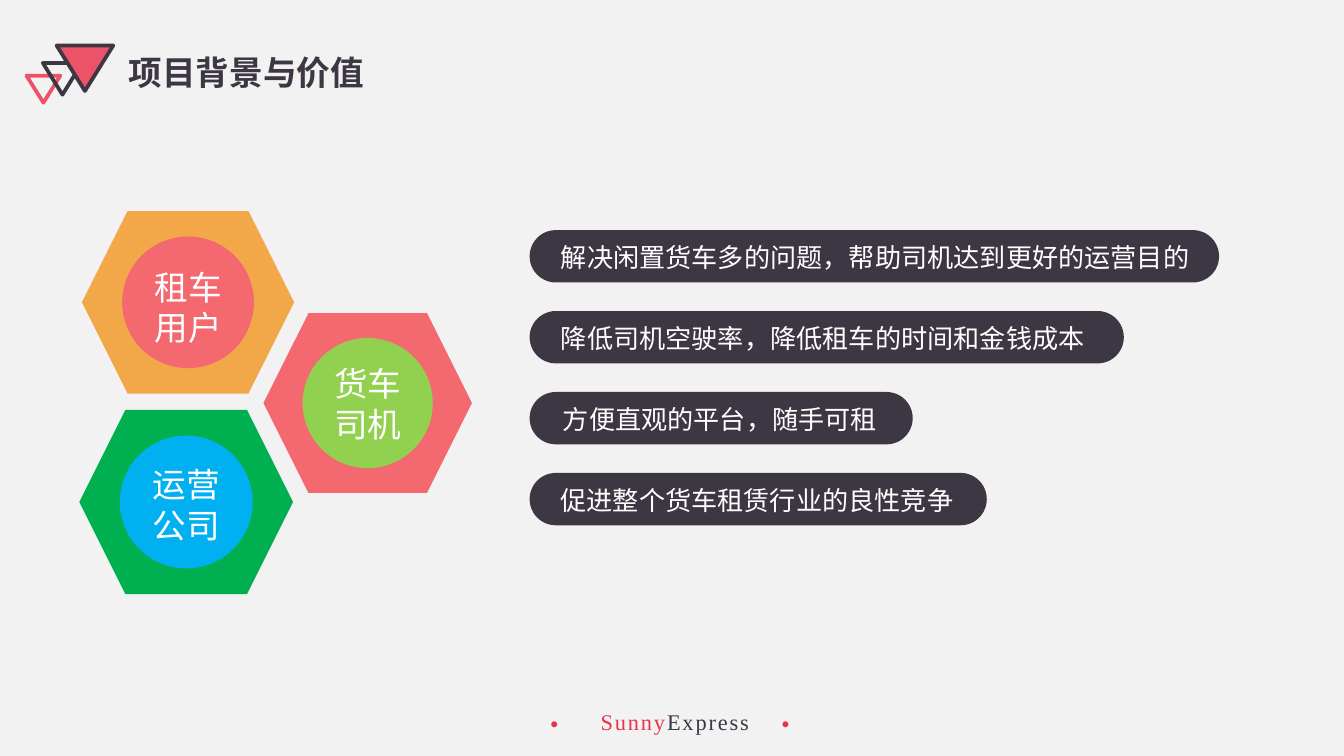
"""Build the project background and value slide."""
from lxml.etree import SubElement
from pptx import Presentation
from pptx.dml.color import RGBColor
from pptx.enum.shapes import MSO_SHAPE
from pptx.enum.text import MSO_ANCHOR, MSO_AUTO_SIZE, PP_ALIGN
from pptx.oxml.ns import qn
from pptx.util import Cm, Pt

DARK = RGBColor(0x3D, 0x37, 0x43)
RED = RGBColor(0xE9, 0x33, 0x4C)
ROSE = RGBColor(0xEC, 0x53, 0x68)
CORAL = RGBColor(0xF4, 0x69, 0x70)
ORANGE = RGBColor(0xF2, 0xA8, 0x49)
GREEN = RGBColor(0x00, 0xB0, 0x50)
LIME = RGBColor(0x92, 0xD0, 0x50)
BLUE = RGBColor(0x00, 0xB0, 0xF0)
WHITE = RGBColor(0xFF, 0xFF, 0xFF)
BACKGROUND = RGBColor(0xF2, 0xF2, 0xF2)
CJK = "Noto Sans CJK SC"


def write(box, text, size=18, color=WHITE, font=CJK, bold=False, align=PP_ALIGN.CENTER, spacing=0):
    frame = box.text_frame
    frame.word_wrap = False
    frame.auto_size = MSO_AUTO_SIZE.NONE
    frame.vertical_anchor = MSO_ANCHOR.MIDDLE
    for index, line in enumerate(text.split("\n")):
        para = frame.add_paragraph() if index else frame.paragraphs[-1]
        para.alignment = align
        span = para.add_run()
        span.text = line
        span.font.size = Pt(size)
        span.font.bold = bold
        span.font.color.rgb = color
        span.font.name = font
        properties = span.font._element
        SubElement(properties, qn("a:ea")).set("typeface", font)
        if spacing:
            properties.set("spc", str(spacing * 100))


def draw(kind, left, top, width, height, fill=None, line=None):
    shape = page.shapes.add_shape(kind, Cm(left), Cm(top), Cm(width), Cm(height))
    shape.shadow.inherit = False
    if fill is None:
        shape.fill.background()
    else:
        shape.fill.solid()
        shape.fill.fore_color.rgb = fill
    if line is None:
        shape.line.fill.background()
    else:
        shape.line.color.rgb = line
        shape.line.width = Pt(2)
    return shape


deck = Presentation()
deck.slide_width, deck.slide_height = Cm(25.4), Cm(14.29)
page = deck.slides.add_slide(deck.slide_layouts[5])
page.background.fill.solid()
page.background.fill.fore_color.rgb = BACKGROUND

title = page.shapes.title
title.left, title.top, title.width, title.height = Cm(2.18), Cm(0.86), Cm(5.03), Cm(1.02)
write(title, "项目背景与价值", color=DARK, bold=True, align=PP_ALIGN.LEFT)

for left, top, width, height, fill, line in [
    (0.5, 1.43, 0.64, 0.51, None, ROSE),
    (0.81, 1.19, 0.74, 0.6, None, DARK),
    (1.07, 0.86, 1.07, 0.86, ROSE, DARK),
]:
    triangle = draw(MSO_SHAPE.ISOSCELES_TRIANGLE, left, top, width, height, fill, line)
    triangle.rotation = 180

for role, left, top, width, height, diameter, label_top, outer, inner in [
    ("租车\n用户", 1.55, 3.99, 4.01, 3.45, 2.49, 4.9, ORANGE, CORAL),
    ("运营\n公司", 1.5, 7.75, 4.04, 3.48, 2.51, 8.64, GREEN, BLUE),
    ("货车\n司机", 4.98, 5.92, 3.94, 3.4, 2.46, 6.73, CORAL, LIME),
]:
    hexagon = draw(MSO_SHAPE.HEXAGON, left, top, width, height, outer)
    hexagon.adjustments[0] = 0.25
    middle = left + width / 2
    draw(MSO_SHAPE.OVAL, middle - diameter / 2, top + (height - diameter) / 2, diameter, diameter, inner)
    label = page.shapes.add_textbox(Cm(middle - 0.9), Cm(label_top), Cm(1.8), Cm(1.8))
    write(label, role)

for row, (benefit, width, text_width) in enumerate([
    ("解决闲置货车多的问题，帮助司机达到更好的运营目的", 13.03, 12.47),
    ("降低司机空驶率，降低租车的时间和金钱成本", 11.23, 10.49),
    ("方便直观的平台，随手可租", 7.24, 6.6),
    ("促进整个货车租赁行业的良性竞争", 8.64, 8),
]):
    top = 4.35 + row * 1.53
    pill = draw(MSO_SHAPE.ROUNDED_RECTANGLE, 10.01, top, width, 0.99, DARK)
    pill.adjustments[0] = 0.5
    label = page.shapes.add_textbox(Cm(10.31), Cm(top + 0.08), Cm(text_width), Cm(0.86))
    write(label, benefit, size=14)

for left in (10.13, 14.5):
    dot = page.shapes.add_textbox(Cm(left), Cm(13.34), Cm(0.69), Cm(0.64))
    write(dot, "•", size=9, color=RED, font="Calibri")

footer = page.shapes.add_textbox(Cm(11.1), Cm(13.26), Cm(3.38), Cm(0.76))
for word, color in [("Sunny", RED), ("Express", DARK)]:
    write(footer, word, size=12, color=color, font="Times New Roman", align=PP_ALIGN.LEFT, spacing=1)

deck.save("out.pptx")
